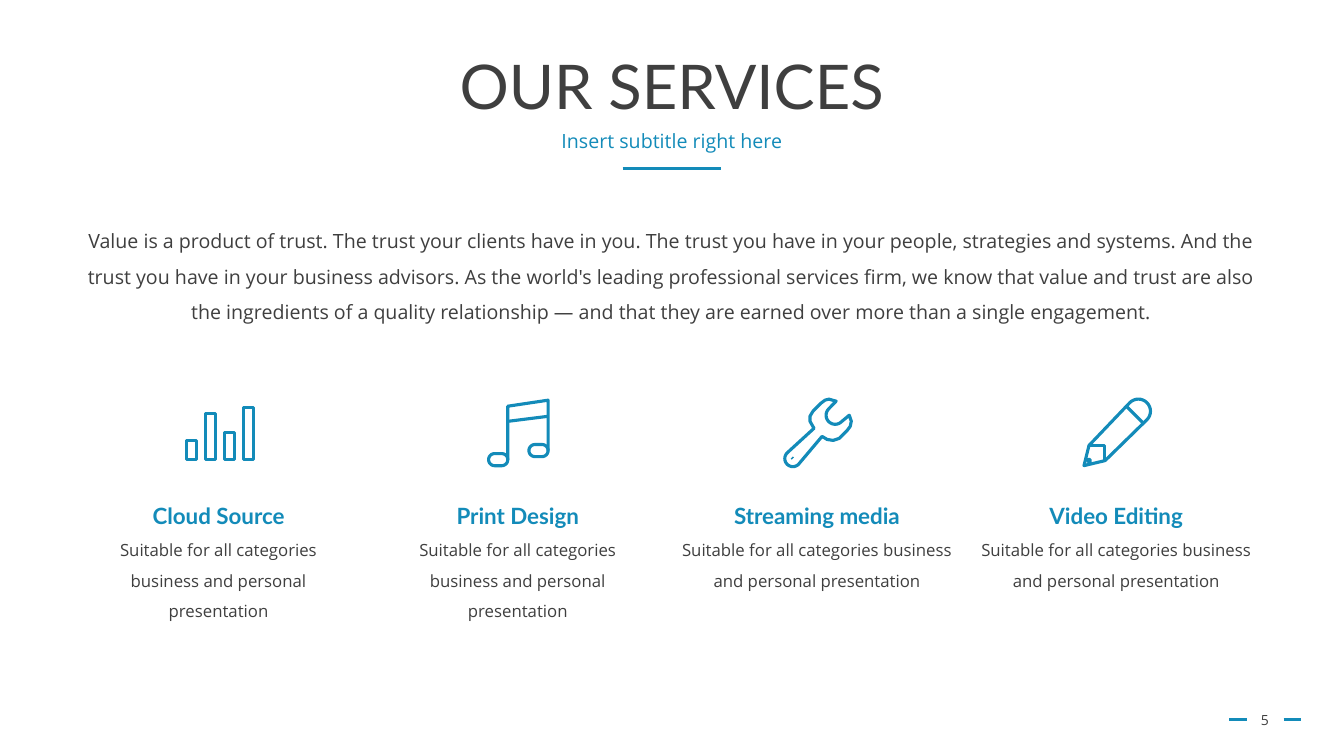
import math
from dataclasses import dataclass

from lxml import etree
from pptx import Presentation
from pptx import util as u
from pptx.dml.color import RGBColor
from pptx.enum import shapes, text
from pptx.oxml import ns

BLUE = "138BB9"
GRAY = "3F3F3F"
HEADING_FONT = "Lato"
BODY_FONT = "Open Sans"
FIRST_CENTER = 2.17
COLUMN_PITCH = 2.97
DESCRIPTION = "Suitable for all categories business and personal presentation"
INTRODUCTION = (
    "Value is a product of trust. The trust your clients have in you. The trust you have in your "
    "people, strategies and systems. And the trust you have in your business advisors. As the "
    "world's leading professional services firm, we know that value and trust are also the "
    "ingredients of a quality relationship — and that they are earned over more than a single "
    "engagement."
)

Point = tuple[float, float]


@dataclass
class Contour:
    points: list[Point]
    closed: bool = True


@dataclass
class Service:
    name: str
    name_width: float
    text_width: float
    text_height: float
    icon: list[Contour]


@dataclass
class Rule:
    left: float
    right: float
    y: float


RULES = [Rule(6.18, 7.16, 1.67), Rule(12.2, 12.38, 7.14), Rule(12.74, 12.91, 7.14)]


def color(value: str) -> RGBColor:
    return RGBColor.from_string(value)


def arc(x: float, y: float, radius: float, start: int, end: int) -> list[Point]:
    steps = 16
    angles = [math.radians(start + (end - start) * step / steps) for step in range(steps + 1)]
    return [(x + radius * math.cos(angle), y + radius * math.sin(angle)) for angle in angles]


def bar(left: float, top: float) -> Contour:
    right, bottom = left + 0.1, 4.56
    return Contour([(left, top), (right, top), (right, bottom), (left, bottom)])


def note_head(left: float, y: float) -> Contour:
    radius = 0.06
    return Contour(arc(left + radius, y, radius, 90, 270) + arc(left + 0.13, y, radius, -90, 90))


def bars_icon() -> list[Contour]:
    return [bar(1.85 + 0.19 * index, top) for index, top in enumerate([4.37, 4.1, 4.29, 4.04])]


def music_icon() -> list[Contour]:
    return [
        Contour([(5.04, 4.56), (5.04, 4.03), (5.44, 3.97), (5.44, 4.47)], closed=False),
        Contour([(5.04, 4.18), (5.44, 4.13)], closed=False),
        note_head(4.85, 4.56),
        note_head(5.25, 4.47),
    ]


def wrench_icon() -> list[Contour]:
    jaw = arc(8.29, 4.12, 0.09, 225, 45)
    handle_end = arc(7.87, 4.55, 0.08, 45, 225)
    head_right = [(8.43, 4.12), (8.45, 4.18), (8.44, 4.23), (8.41, 4.27), (8.33, 4.35),
                  (8.27, 4.37), (8.21, 4.36), (8.16, 4.33)]
    head_left = [(8.08, 4.25), (8.04, 4.18), (8.04, 4.13), (8.07, 4.08), (8.15, 4),
                 (8.19, 3.97), (8.23, 3.96), (8.26, 3.97), (8.3, 3.98)]
    return [
        Contour(jaw + head_right + handle_end + head_left),
        Contour([(7.86, 4.54), (7.87, 4.55)], closed=False),
    ]


def pencil_icon() -> list[Contour]:
    body = [(10.97, 4.57), (10.76, 4.62), (10.81, 4.42)]
    return [
        Contour(body + arc(11.3, 4.08, 0.12, 225, 405)),
        Contour([(10.81, 4.42), (10.96, 4.42), (10.96, 4.57)], closed=False),
        Contour([(11.19, 4.04), (11.34, 4.19)], closed=False),
        Contour([(10.79, 4.56), (10.82, 4.56), (10.82, 4.6)]),
    ]


SERVICES = [
    Service("Cloud Source", 1.51, 2.73, 1, bars_icon()),
    Service("Print Design", 1.42, 2.67, 1, music_icon()),
    Service("Streaming media", 1.85, 2.88, 0.7, wrench_icon()),
    Service("Video Editing", 1.53, 2.88, 0.7, pencil_icon()),
]


def write_text(shape, content: str, *, size: float, font: str = BODY_FONT, fill: str = GRAY,
               bold: bool = False, spacing: float = 1.0, wrap: bool = True,
               anchor=text.MSO_ANCHOR.TOP) -> None:
    frame = shape.text_frame
    frame.word_wrap = wrap
    frame.vertical_anchor = anchor
    frame.text = content
    paragraph = frame.paragraphs[0]
    paragraph.alignment = text.PP_ALIGN.CENTER
    paragraph.line_spacing = spacing
    run_font = paragraph.runs[0].font
    run_font.name = font
    run_font.size = u.Pt(size)
    run_font.bold = bold
    run_font.color.rgb = color(fill)


def add_box(slide, left: float, top: float, width: float, height: float):
    return slide.shapes.add_textbox(u.Inches(left), u.Inches(top), u.Inches(width), u.Inches(height))


def add_rule(slide, rule: Rule) -> None:
    y = u.Inches(rule.y)
    line = slide.shapes.add_connector(
        shapes.MSO_CONNECTOR.STRAIGHT, u.Inches(rule.left), y, u.Inches(rule.right), y)
    line.line.color.rgb = color(BLUE)
    line.line.width = u.Pt(1.75)
    etree.SubElement(line._element.spPr, ns.qn("a:effectLst"))


def add_icon(slide, contours: list[Contour]) -> None:
    builder = None
    for contour in contours:
        points = [(u.Inches(x), u.Inches(y)) for x, y in contour.points]
        if builder is None:
            builder = slide.shapes.build_freeform(*points[0])
        else:
            builder.move_to(*points[0])
        builder.add_line_segments(points[1:], close=contour.closed)
    icon = builder.convert_to_shape()
    icon.shadow.inherit = False
    icon.fill.background()
    icon.line.color.rgb = color(BLUE)
    icon.line.width = u.Pt(2.25)


def add_service(slide, service: Service, center: float) -> None:
    name = add_box(slide, center - service.name_width / 2, 4.93, service.name_width, 0.37)
    write_text(name, service.name, size=16, font=HEADING_FONT, fill=BLUE, bold=True, wrap=False)
    description = add_box(
        slide, center - service.text_width / 2, 5.21, service.text_width, service.text_height)
    write_text(description, DESCRIPTION, size=12, spacing=1.5)
    add_icon(slide, service.icon)


def main() -> None:
    presentation = Presentation()
    presentation.slide_width = u.Inches(13.34)
    presentation.slide_height = u.Inches(7.5)
    slide = presentation.slides.add_slide(presentation.slide_layouts[5])

    for rule in RULES:
        add_rule(slide, rule)

    title = slide.shapes.title
    title.left, title.top = u.Inches(0.92), u.Inches(0.4)
    title.width, title.height = u.Inches(11.5), u.Inches(0.98)
    write_text(title, "OUR SERVICES", size=44, font=HEADING_FONT, spacing=0.9,
               anchor=text.MSO_ANCHOR.MIDDLE)

    write_text(add_box(slide, 0.92, 1.26, 11.5, 0.4), "Insert subtitle right here",
               size=14, fill=BLUE, spacing=0.9)
    write_text(add_box(slide, 12.26, 6.94, 0.59, 0.4), "5", size=10,
               anchor=text.MSO_ANCHOR.MIDDLE)
    write_text(add_box(slide, 0.7, 2.11, 11.93, 1.39), INTRODUCTION, size=14, spacing=1.5)

    for index, service in enumerate(SERVICES):
        add_service(slide, service, FIRST_CENTER + COLUMN_PITCH * index)

    presentation.save("out.pptx")


if __name__ == "__main__":
    main()
